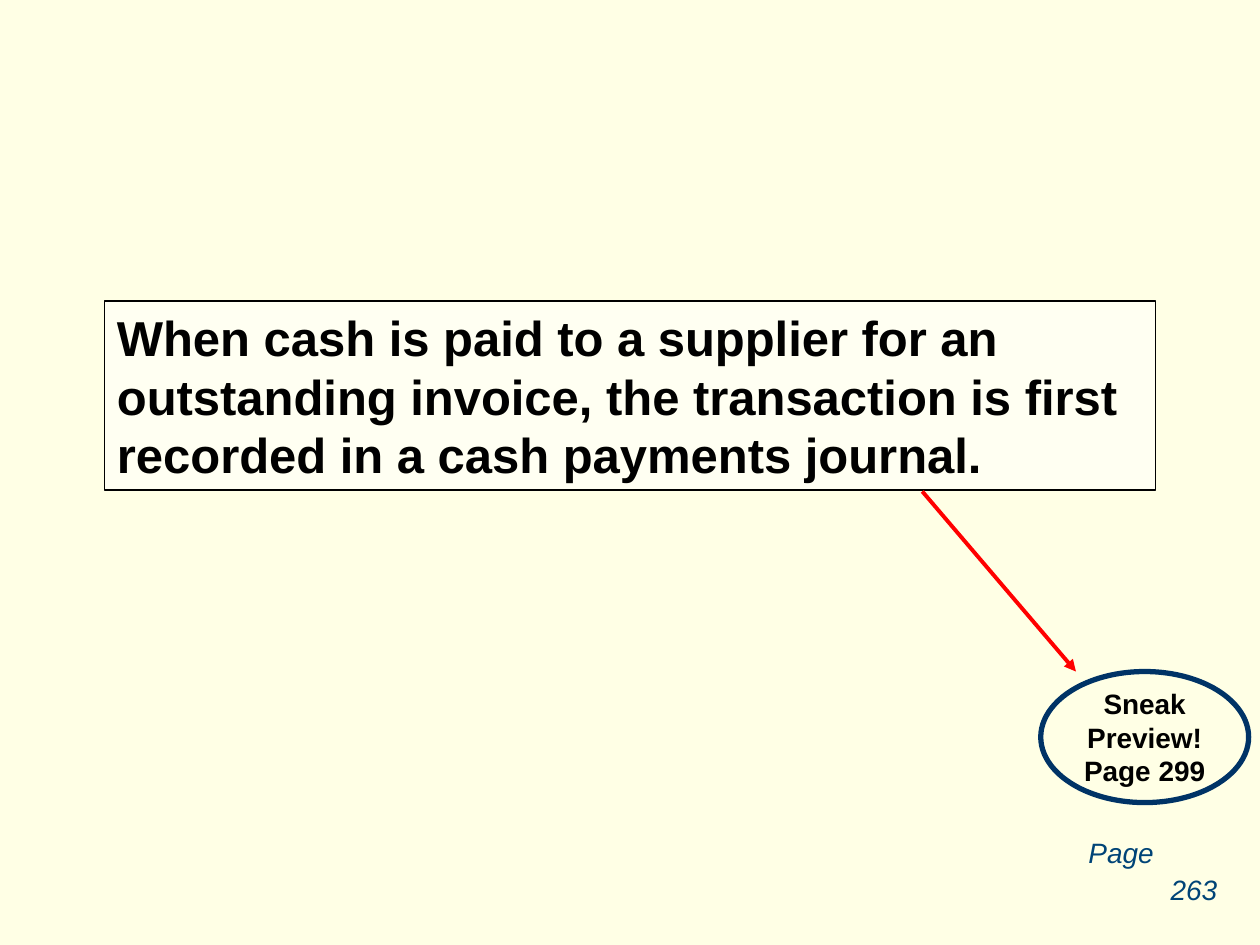
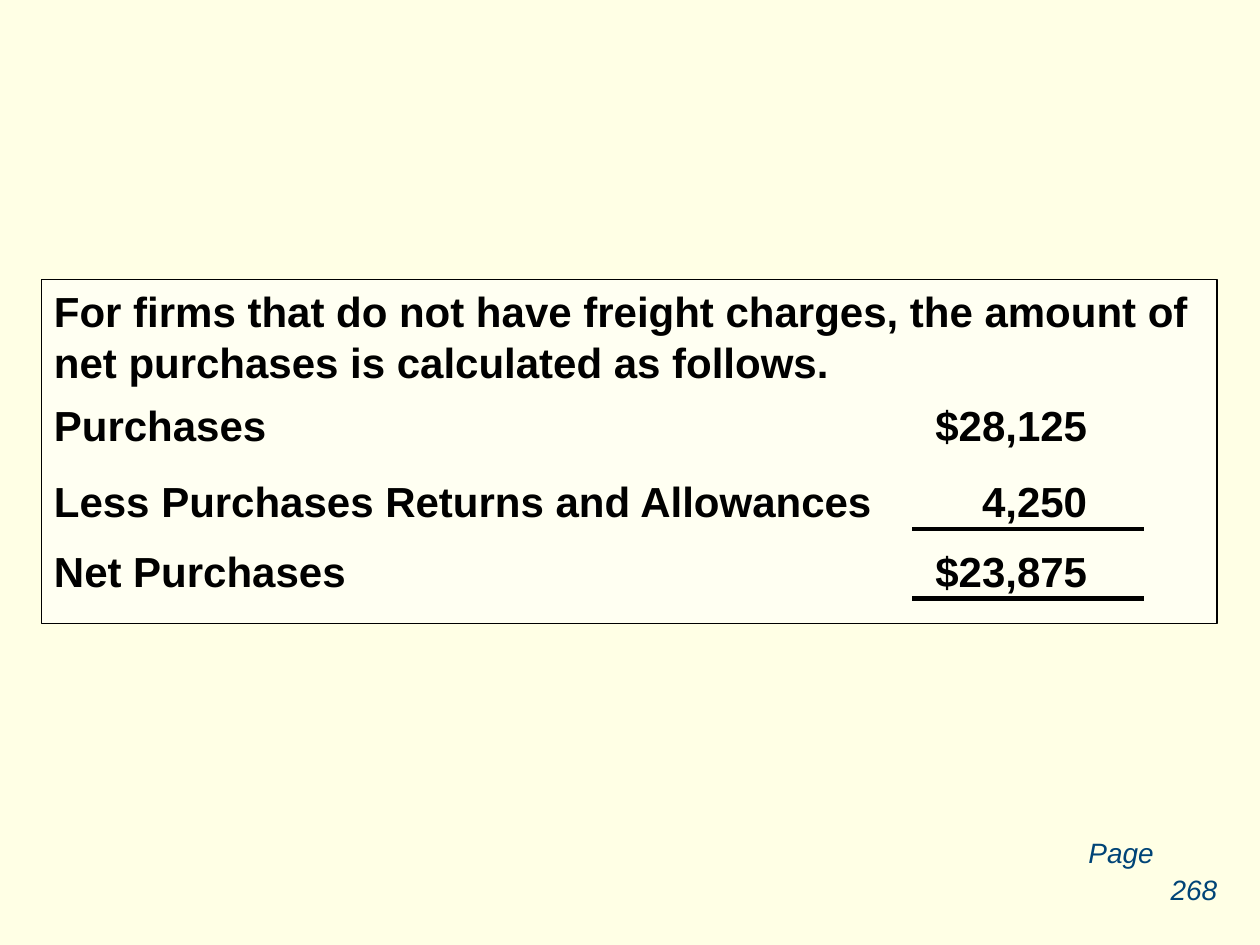
from lxml import etree
from pptx import Presentation
from pptx.dml.color import RGBColor
from pptx.enum.shapes import MSO_CONNECTOR, MSO_SHAPE
from pptx.enum.text import MSO_ANCHOR, PP_ALIGN
from pptx.oxml.ns import qn
from pptx.util import Inches, Pt

STRAIGHT = MSO_CONNECTOR.STRAIGHT
RECTANGLE, OVAL = MSO_SHAPE.RECTANGLE, MSO_SHAPE.OVAL
TOP, MIDDLE = MSO_ANCHOR.TOP, MSO_ANCHOR.MIDDLE
LEFT, CENTER = PP_ALIGN.LEFT, PP_ALIGN.CENTER

CREAM = RGBColor(0xFF, 0xFF, 0xE5)
WHITE = RGBColor(0xFF, 0xFF, 0xFF)
BLACK = RGBColor(0, 0, 0)
NAVY = RGBColor(0x00, 0x33, 0x66)
BLUE = RGBColor(0x00, 0x44, 0x77)
RED = RGBColor(0xFF, 0, 0)
FONT = "Arial"

PAYMENT_RULE = (
    "When cash is paid to a supplier for an outstanding invoice, "
    "the transaction is first recorded in a cash payments journal."
)
PREVIEW = "Sneak Preview!\vPage 299"
PURCHASES_RULE = (
    "For firms that do not have freight charges, "
    "the amount of net purchases is calculated as follows."
)
DEDUCTION = [("Purchases", "$28,125"), ("Less Purchases Returns and Allowances", "4,250")]
RESULT = [("Net Purchases", "$23,875")]
PAGE_NUMBERS = ["263", "268"]

PANEL_LEFT, PANEL_WIDTH = 0.33, 9.33
AMOUNT_TAB = 8.2
RULE_START, RULE_END = 7.24, 9.08


def write(shape, text, size, color=BLACK, bold=True, italic=False,
          align=LEFT, anchor=TOP, wrap=True):
    frame = shape.text_frame
    frame.text = text
    frame.word_wrap = wrap
    frame.vertical_anchor = anchor
    for para in frame.paragraphs:
        para.alignment = align
        for span in para.runs:
            span.font.name = FONT
            span.font.size = Pt(size)
            span.font.bold = bold
            span.font.italic = italic
            span.font.color.rgb = color
    return frame


def add_text(page, place, text, size, **style):
    box = page.shapes.add_textbox(*map(Inches, place))
    return write(box, text, size, **style)


def add_outline(page, kind, place, color, width):
    shape = page.shapes.add_shape(kind, *map(Inches, place))
    shape.shadow.inherit = False
    shape.fill.background()
    shape.line.color.rgb = color
    shape.line.width = Pt(width)
    return shape


def add_panel(page, place, text, size):
    panel = add_outline(page, RECTANGLE, place, BLACK, 0.75)
    panel.fill.solid()
    panel.fill.fore_color.rgb = WHITE
    color = panel.fill._xPr.find(qn("a:solidFill"))[0]
    etree.SubElement(color, qn("a:alpha"), val="50000")
    write(panel, text, size)


def add_line(page, start, end, color, width, arrow=False):
    line = page.shapes.add_connector(STRAIGHT, *map(Inches, start + end))
    line.line.color.rgb = color
    line.line.width = Pt(width)
    if arrow:
        etree.SubElement(line.line._ln, qn("a:tailEnd"), type="triangle")
    etree.SubElement(line._element.spPr, qn("a:effectLst"))


def add_amounts(page, top, height, entries):
    text = "\n".join(f"{label}\t{amount}" for label, amount in entries)
    frame = add_text(page, (PANEL_LEFT, top, PANEL_WIDTH, height), text, 24)
    for index, para in enumerate(frame.paragraphs):
        para.space_before = Pt(15 if index else 0)
        tabs = etree.SubElement(para._p.get_or_add_pPr(), qn("a:tabLst"))
        etree.SubElement(tabs, qn("a:tab"), pos=str(Inches(AMOUNT_TAB)), algn="r")


def add_page(deck, number):
    page = deck.slides.add_slide(deck.slide_layouts[6])
    page.background.fill.solid()
    page.background.fill.fore_color.rgb = CREAM
    style = dict(color=BLUE, bold=False, italic=True, wrap=False)
    add_text(page, (8.54, 6.58, 0.72, 0.37), "Page", 16, **style)
    add_text(page, (9.19, 6.88, 0.57, 0.37), number, 16, align=CENTER, **style)
    return page


def build_payment(page):
    add_panel(page, (0.83, 2.39, 8.34, 1.5), PAYMENT_RULE, 28)
    preview = add_outline(page, OVAL, (8.26, 5.33, 1.65, 1.04), NAVY, 3)
    write(preview, PREVIEW, 16, align=CENTER, anchor=MIDDLE)
    add_line(page, (7.32, 3.9), (8.54, 5.33), RED, 2.25, arrow=True)


def build_purchases(page):
    add_panel(page, (PANEL_LEFT, 2.22, PANEL_WIDTH, 2.73), PURCHASES_RULE, 24)
    add_amounts(page, 4.28, 0.5, RESULT)
    add_amounts(page, 3.12, 1.11, DEDUCTION)
    for height, width in [(4.2, 2), (4.75, 3)]:
        add_line(page, (RULE_START, height), (RULE_END, height), BLACK, width)


def main():
    deck = Presentation()
    deck.slide_width, deck.slide_height = Inches(10), Inches(7.5)
    for number, build in zip(PAGE_NUMBERS, [build_payment, build_purchases]):
        build(add_page(deck, number))
    deck.save("out.pptx")


if __name__ == "__main__":
    main()
